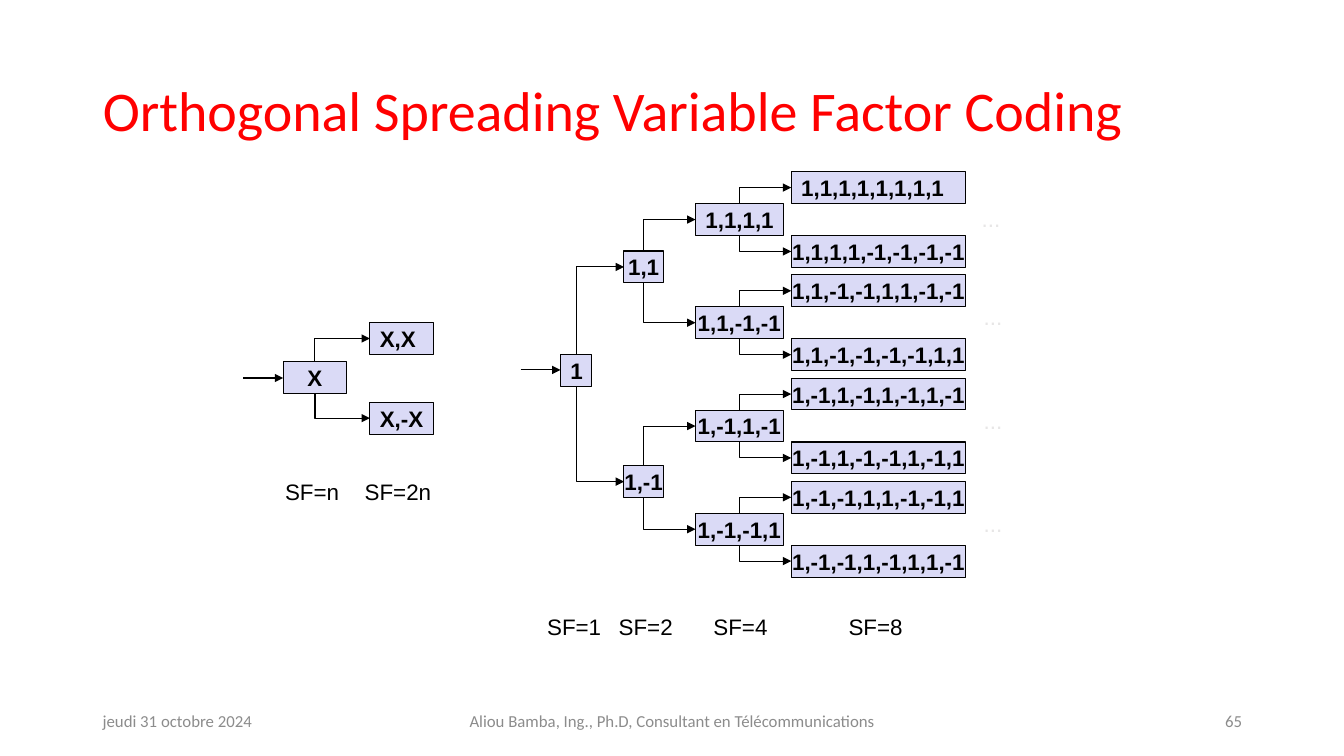
from dataclasses import dataclass

from lxml import etree
from pptx import Presentation, util as u
from pptx.dml.color import RGBColor
from pptx.enum import shapes, text
from pptx.oxml.ns import qn

CELL = u.Inches(0.1)  # grid cell; all lengths below are columns and rows of it
COLS, ROWS = 133.33, 75
BOX_ROWS = 3.16
LABEL_ROWS = 3.7
LEFT, CENTER, RIGHT = (text.PP_ALIGN.LEFT, text.PP_ALIGN.CENTER,
                       text.PP_ALIGN.RIGHT)


@dataclass(frozen=True)
class Theme:
    heading: str = "Calibri"
    body: str = "Arial"
    title_size: int = 40
    code_size: int = 16
    footer_size: int = 12
    line_width: float = 0.75
    title: str = "FF0000"
    ink: str = "000000"
    box: str = "DADAF6"
    dots: str = "E7E6E6"
    footer: str = "8C8C8C"


@dataclass(frozen=True)
class Level:
    """One column of a code tree: its boxes and the label under them."""
    left: float
    width: float
    tops: list
    label: str
    label_left: float
    label_width: float = 7.4


THEME = Theme()
LEFT_ALIGNED = {"X,X", "X,-X", "1", "1,1,1,1", "1,1,1,1,1,1,1,1"}

RULE_LEVELS = [
    Level(28.1, 6.3, [35.9], "SF=n", 27.3),
    Level(36.7, 6.3, [32, 39.9], "SF=2n", 35.2, 8.6),
]
PAIR_STEP, LEAF_STEP = 10.24, 6.34
PAIR_TOPS = [20.2 + PAIR_STEP * i for i in range(4)]
LEAF_TOPS = [top + side * LEAF_STEP / 2 for top in PAIR_TOPS for side in (-1, 1)]
CODE_LEVELS = [
    Level(55.6, 3.1, [35.2], "SF=1", 53.3),
    Level(61.9, 3.9, [24.9, 46.2], "SF=2", 60.4),
    Level(69, 8.7, PAIR_TOPS, "SF=4", 69.8),
    Level(78.5, 17.3, LEAF_TOPS, "SF=8", 83.2),
]
DOTS = [(96.4, 19.9), (96.6, 29.6), (96.6, 39.9), (96.6, 50.1)]
FOOTERS = [
    (9.2, 30, "jeudi 31 octobre 2024", LEFT),
    (44.2, 45, "Aliou Bamba, Ing., Ph.D, Consultant en Télécommunications", CENTER),
    (94.2, 30, "65", RIGHT),
]


def cells(*lengths):
    return [int(n * CELL) for n in lengths]


def write(sp, words, font, size, color, align=LEFT, bold=False):
    tf = sp.text_frame
    tf.text = words
    p = tf.paragraphs[0]
    p.alignment = align
    r = p.runs[0]
    r.font.name, r.font.size, r.font.bold = font, u.Pt(size), bold
    r.font.color.rgb = RGBColor.from_string(color)
    return tf


def add_title(s, words):
    sp = s.shapes.title
    sp.left, sp.top, sp.width, sp.height = cells(9.2, 4, 115, 14.5)
    tf = write(sp, words, THEME.heading, THEME.title_size, THEME.title)
    tf.vertical_anchor = text.MSO_ANCHOR.MIDDLE
    tf.word_wrap = True
    tf.paragraphs[0].line_spacing = 0.9


def add_label(s, left, top, width, words, color=THEME.ink):
    sp = s.shapes.add_textbox(*cells(left, top, width, LABEL_ROWS))
    tf = write(sp, words, THEME.body, THEME.code_size, color)
    tf.word_wrap = False
    tf.auto_size = text.MSO_AUTO_SIZE.SHAPE_TO_FIT_TEXT


def add_footer(s, left, width, words, align):
    sp = s.shapes.add_textbox(*cells(left, 69.5, width, 4))
    tf = write(sp, words, THEME.heading, THEME.footer_size, THEME.footer, align)
    tf.word_wrap = True
    tf.vertical_anchor = text.MSO_ANCHOR.MIDDLE


def add_code_box(s, left, top, width, code):
    sp = s.shapes.add_shape(shapes.MSO_SHAPE.RECTANGLE,
                            *cells(left, top, width, BOX_ROWS))
    sp.shadow.inherit = False
    sp.fill.solid()
    sp.fill.fore_color.rgb = RGBColor.from_string(THEME.box)
    sp.line.color.rgb = RGBColor.from_string(THEME.ink)
    sp.line.width = u.Pt(THEME.line_width)
    align = LEFT if code in LEFT_ALIGNED else CENTER
    tf = write(sp, code, THEME.body, THEME.code_size, THEME.ink, align, bold=True)
    tf.word_wrap = False
    tf.vertical_anchor = text.MSO_ANCHOR.MIDDLE


def add_arrow(s, kind, x1, y1, x2, y2):
    line = s.shapes.add_connector(kind, *cells(x1, y1, x2, y2))
    line.line.color.rgb = RGBColor.from_string(THEME.ink)
    line.line.width = u.Pt(THEME.line_width)
    etree.SubElement(line.line._get_or_add_ln(), qn("a:tailEnd"), type="triangle")
    etree.SubElement(line._element.spPr, qn("a:effectLst"))
    return line


def add_branch(s, x1, y1, x2, y2):
    """Arrow that leaves vertically, then turns right: a one-bend elbow at 270°."""
    mid_x, mid_y = (x1 + x2) / 2, (y1 + y2) / 2
    half_rise, half_run = (y1 - y2) / 2, (x2 - x1) / 2
    line = add_arrow(s, shapes.MSO_CONNECTOR.ELBOW,
                     mid_x - half_rise, mid_y - half_run,
                     mid_x + half_rise, mid_y + half_run)
    sp_pr = line._element.spPr
    sp_pr.find(qn("a:prstGeom")).set("prst", "bentConnector2")
    sp_pr.find(qn("a:xfrm")).set("rot", str(270 * 60000))


def spread(code):
    """The two codes of double length: (c, c) and (c, -c)."""
    negated = [c[1:] if c.startswith("-") else "-" + c for c in code]
    return [code + code, code + negated]


def add_code_tree(s, seed, levels, label_top, entry_y):
    root = levels[0]
    add_arrow(s, shapes.MSO_CONNECTOR.STRAIGHT,
              root.left - 3.95, entry_y, root.left, entry_y)
    codes, parent = [[seed]], None
    for level in levels:
        if parent:
            codes = [child for code in codes for child in spread(code)]
        for i, (top, code) in enumerate(zip(level.tops, codes)):
            add_code_box(s, level.left, top, level.width, ",".join(code))
            if parent:
                start = parent.tops[i // 2] + i % 2 * BOX_ROWS
                add_branch(s, parent.left + parent.width / 2, start,
                           level.left, top + BOX_ROWS / 2)
        add_label(s, level.label_left, label_top, level.label_width, level.label)
        parent = level


def main():
    prs = Presentation()
    prs.slide_width, prs.slide_height = cells(COLS, ROWS)
    s = prs.slides.add_slide(prs.slide_layouts.get_by_name("Title Only"))
    add_title(s, "Orthogonal Spreading Variable Factor Coding")
    add_code_tree(s, "X", RULE_LEVELS, label_top=46.9, entry_y=37.5)
    add_code_tree(s, "1", CODE_LEVELS, label_top=60.3, entry_y=36.7)
    for left, top in DOTS:
        add_label(s, left, top, 3.9, "...", THEME.dots)
    for footer in FOOTERS:
        add_footer(s, *footer)
    prs.save("out.pptx")


if __name__ == "__main__":
    main()
